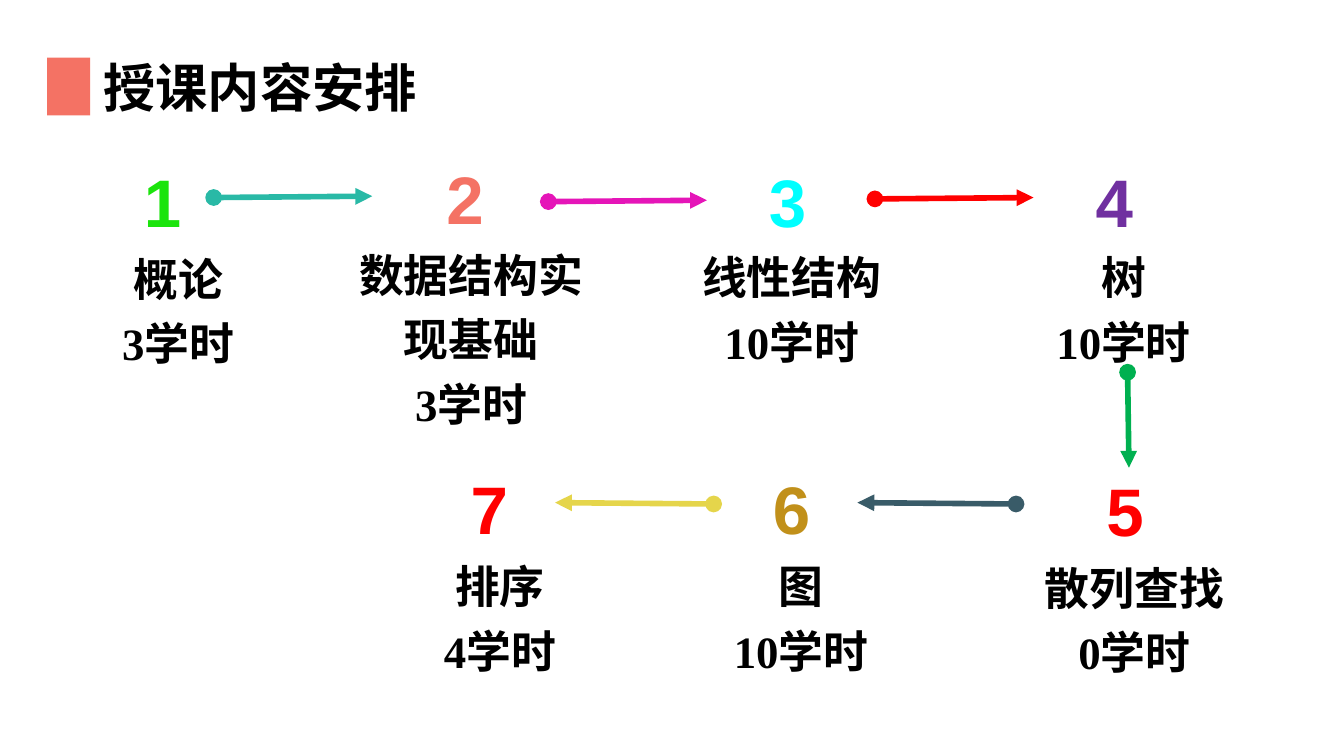
from lxml.etree import SubElement as Sub
from pptx import Presentation
from pptx.dml.color import RGBColor as RGB
from pptx.enum.shapes import MSO_CONNECTOR as Link, MSO_SHAPE as Form
from pptx.enum.text import MSO_ANCHOR as Anchor, MSO_AUTO_SIZE as Fit, PP_ALIGN as Align
from pptx.oxml.ns import qn
from pptx.util import Inches, Pt

HUES = {
    "black": "000000", "coral": "F47264", "lime": "1BE40C", "cyan": "00FFFF",
    "purple": "7030A0", "red": "FF0000", "gold": "C1901A", "teal": "29B9A6",
    "pink": "E515B8", "green": "00B050", "slate": "395B68", "yellow": "E5D54B",
}
CELL = 0.1  # grid cell in inches: 100 columns across the slide


def grid(*cells):
    return [Inches(n * CELL) for n in cells]


class Deck:
    head = "Arial"
    body = "Times New Roman"

    def __init__(self):
        self.prs = Presentation()
        self.prs.slide_width, self.prs.slide_height = grid(100, 56.25)
        self.slide = self.prs.slides.add_slide(self.prs.slide_layouts[5])
        self.shapes = self.slide.shapes

    def fill_text(self, box, lines, font, size, hue, pad=(0, 0),
                  align=Align.CENTER, anchor=Anchor.TOP, wrap=True, space=1.0):
        frame = box.text_frame
        frame.text = "\n".join(lines)
        frame.auto_size = Fit.NONE
        frame.word_wrap = wrap
        frame.vertical_anchor = anchor
        frame.margin_left = frame.margin_right = Inches(pad[0])
        frame.margin_top = frame.margin_bottom = Inches(pad[1])
        for para in frame.paragraphs:
            para.alignment = align
            para.line_spacing = space
            para.space_before = Pt(0)
            para.font.name, para.font.size, para.font.bold = font, Pt(size), True
            para.font.color.rgb = RGB.from_string(HUES[hue])

    def title(self, text, *area):
        box = self.shapes.title
        box.left, box.top, box.width, box.height = grid(*area)
        self.fill_text(box, [text], self.head, 28, "black",
                       align=Align.LEFT, anchor=Anchor.MIDDLE)

    def block(self, hue, *area):
        box = self.shapes.add_shape(Form.RECTANGLE, *grid(*area))
        box.shadow.inherit = False
        box.fill.solid()
        box.fill.fore_color.rgb = RGB.from_string(HUES[hue])
        box.line.fill.background()

    def digit(self, text, hue, left, top):
        box = self.shapes.add_textbox(*grid(left, top, 2.8, 6.1))
        self.fill_text(box, [text], self.head, 36, hue,
                       anchor=Anchor.BOTTOM, wrap=False)

    def topic(self, lines, *area):
        box = self.shapes.add_textbox(*grid(*area))
        self.fill_text(box, lines, self.body, 24, "black",
                       pad=(0.07, 0.04), space=1.2)

    def arrow(self, hue, left, top, run, rise):
        line = self.shapes.add_connector(
            Link.STRAIGHT, *grid(left, top, left + run, top + rise))
        line.line.color.rgb = RGB.from_string(HUES[hue])
        line.line.width = Pt(3)
        props = line.line._get_or_add_ln()
        Sub(props, qn("a:headEnd"), type="oval")
        Sub(props, qn("a:tailEnd"), type="triangle")
        Sub(line._element.spPr, qn("a:effectLst"))


# Number, colour and place; then topic, hours and text area
STEPS = [
    ("lime", 10.7, 11.8, "概论", 3, (6.4, 17.5, 13.7, 10)),
    ("coral", 33.2, 11.6, "数据结构实现基础", 3, (25.6, 17.2, 18.9, 15.3)),
    ("cyan", 57.2, 11.8, "线性结构", 10, (50.8, 17.4, 16.2, 10)),
    ("purple", 81.5, 11.8, "树", 10, (74.4, 17.4, 18.4, 10)),
    ("red", 82.3, 34.8, "散列查找", 0, (75.2, 40.5, 18.4, 10)),
    ("gold", 57.5, 34.7, "图", 10, (50.4, 40.4, 18.4, 10)),
    ("red", 35, 34.7, "排序", 4, (28, 40.4, 18.4, 10)),
]
# Colour, start, run and rise of each link
SPAN = 11.8
LINKS = [
    ("teal", 15.9, 14.7, SPAN, -0.1),
    ("pink", 40.8, 15, SPAN, -0.1),
    ("red", 65.1, 14.8, SPAN, -0.1),
    ("green", 83.9, 27.7, 0.1, 7.1),
    ("slate", 75.6, 37.5, -SPAN, -0.1),
    ("yellow", 53.1, 37.5, -SPAN, -0.1),
]


def main():
    deck = Deck()
    # Heading
    deck.title("授课内容安排", 7.7, 4.1, 28.5, 4.7)
    deck.block("coral", 3.5, 4.3, 3.2, 4.3)
    # Course steps
    for num, (hue, left, top, name, hours, area) in enumerate(STEPS, 1):
        deck.digit(str(num), hue, left, top)
        deck.topic([name, f"{hours}学时"], *area)
    # Links between steps
    for link in LINKS:
        deck.arrow(*link)
    deck.prs.save("out.pptx")


if __name__ == "__main__":
    main()
